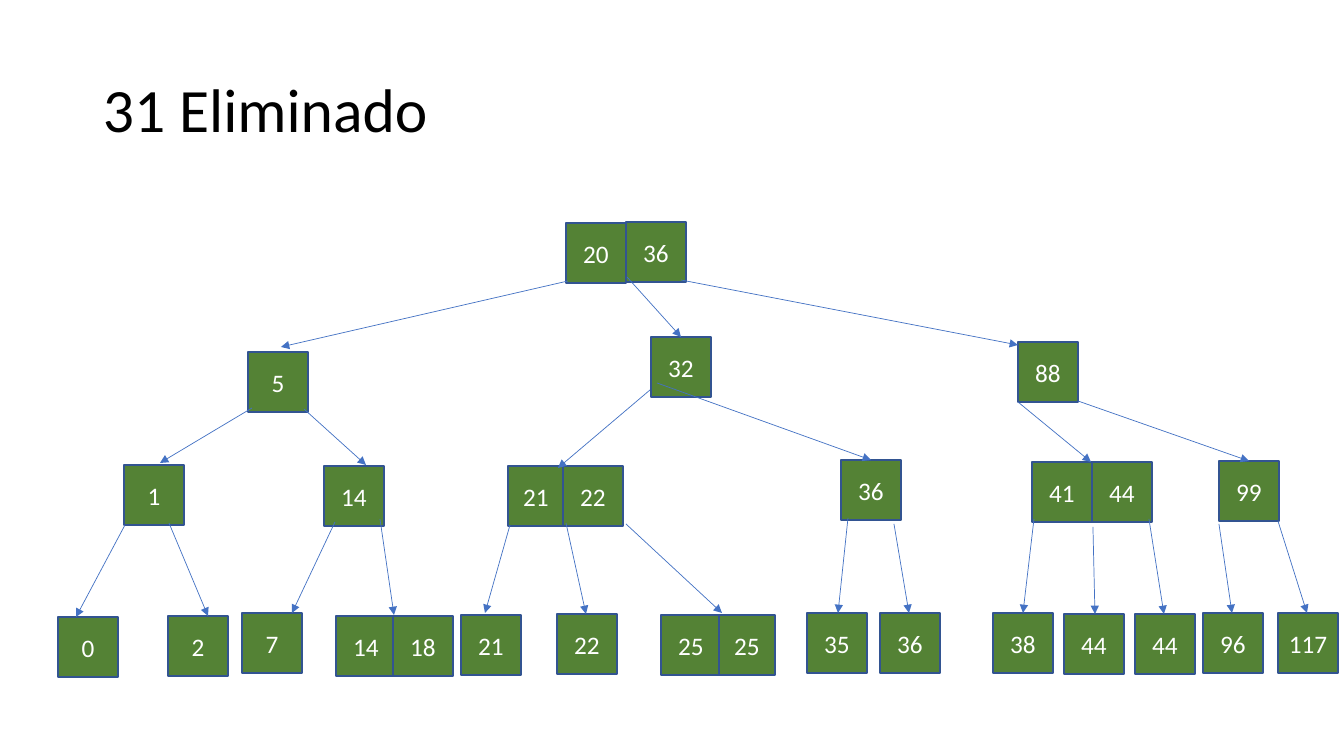
import dataclasses

import pptx
import pptx.dml.color
import pptx.enum.shapes
import pptx.enum.text
import pptx.oxml.ns
import pptx.util
from lxml import etree


@dataclasses.dataclass(frozen=True)
class Theme:
    """Colours, font and type sizes of the slide."""
    font: str = "Calibri"
    ink: str = "000000"
    label: str = "FFFFFF"
    fill: str = "548235"
    edge: str = "325491"
    arrow: str = "4472C4"
    title: int = 44
    key: int = 18


THEME = Theme()
SIDE = 60
SLIM = 56

KEYS = [
    ("36", 626, 222), ("20", 566, 223),
    ("5", 248, 352), ("32", 651, 337), ("88", 1018, 342),
    ("1", 124, 465), ("14", 324, 466), ("21", 508, 466, SLIM), ("22", 563, 466),
    ("36", 841, 460), ("41", 1032, 462), ("44", 1092, 462), ("99", 1219, 461),
    ("0", 58, 617), ("2", 168, 616), ("7", 242, 613), ("14", 336, 616),
    ("18", 393, 616), ("21", 461, 615), ("22", 557, 614), ("25", 661, 615),
    ("25", 719, 615, SLIM), ("35", 807, 613), ("36", 880, 613), ("38", 993, 613),
    ("44", 1064, 614), ("44", 1135, 614), ("96", 1203, 613), ("117", 1278, 613),
]

ARROWS = [
    (568, 281, 281, 347), (627, 277, 681, 337), (681, 280, 1018, 345),
    (252, 408, 160, 463), (304, 409, 366, 465),
    (650, 390, 558, 468), (657, 383, 871, 460),
    (1018, 402, 1091, 462), (1078, 401, 1249, 461),
    (125, 525, 76, 617), (169, 523, 208, 616),
    (335, 522, 292, 613), (380, 519, 394, 615),
    (510, 525, 485, 613), (566, 523, 586, 614), (626, 524, 722, 613),
    (848, 518, 838, 613), (894, 524, 909, 613),
    (1034, 519, 1023, 613), (1093, 527, 1095, 614), (1149, 519, 1164, 614),
    (1219, 524, 1232, 613), (1278, 521, 1307, 613),
]


def px(*sizes):
    """Turn pixels into EMU."""
    return [pptx.util.Emu(round(size * 914400 / 100.8)) for size in sizes]


def rgb(code):
    """Turn a hex code into a colour."""
    return pptx.dml.color.RGBColor.from_string(code)


def write(shape, text, size, color):
    """Put one line of middle-anchored text in a shape."""
    frame = shape.text_frame
    frame.vertical_anchor = pptx.enum.text.MSO_ANCHOR.MIDDLE
    line = frame.paragraphs[0]
    line.text = text
    line.font.name = THEME.font
    line.font.size = pptx.util.Pt(size)
    line.font.color.rgb = rgb(color)
    return line


def add_title(slide, text):
    """Add the slide title."""
    box = slide.shapes.add_textbox(*px(93, 40, 1159, 146))
    box.text_frame.word_wrap = True
    write(box, text, THEME.title, THEME.ink).line_spacing = 0.9


def add_key(slide, text, left, top, width=SIDE):
    """Add one key box of a tree node."""
    kind = pptx.enum.shapes.MSO_SHAPE.RECTANGLE
    box = slide.shapes.add_shape(kind, *px(left, top, width, SIDE))
    box.shadow.inherit = False
    box.fill.solid()
    box.fill.fore_color.rgb = rgb(THEME.fill)
    box.line.color.rgb = rgb(THEME.edge)
    box.line.width = pptx.util.Pt(1)
    box.text_frame.word_wrap = False
    line = write(box, text, THEME.key, THEME.label)
    line.alignment = pptx.enum.text.PP_ALIGN.CENTER


def add_arrow(slide, *ends):
    """Add an arrow from a node to its child."""
    kind = pptx.enum.shapes.MSO_CONNECTOR.STRAIGHT
    link = slide.shapes.add_connector(kind, *px(*ends))
    link.line.color.rgb = rgb(THEME.arrow)
    link.line.width = pptx.util.Pt(0.5)
    qn = pptx.oxml.ns.qn
    etree.SubElement(link.line._get_or_add_ln(), qn("a:tailEnd"), type="triangle")
    etree.SubElement(link._element.spPr, qn("a:effectLst"))


def main():
    """Build the slide and save it."""
    deck = pptx.Presentation()
    deck.slide_width, deck.slide_height = px(1344, 756)
    slide = deck.slides.add_slide(deck.slide_layouts[6])
    add_title(slide, "31 Eliminado")
    for key in KEYS:
        add_key(slide, *key)
    for ends in ARROWS:
        add_arrow(slide, *ends)
    deck.save("out.pptx")


main()
